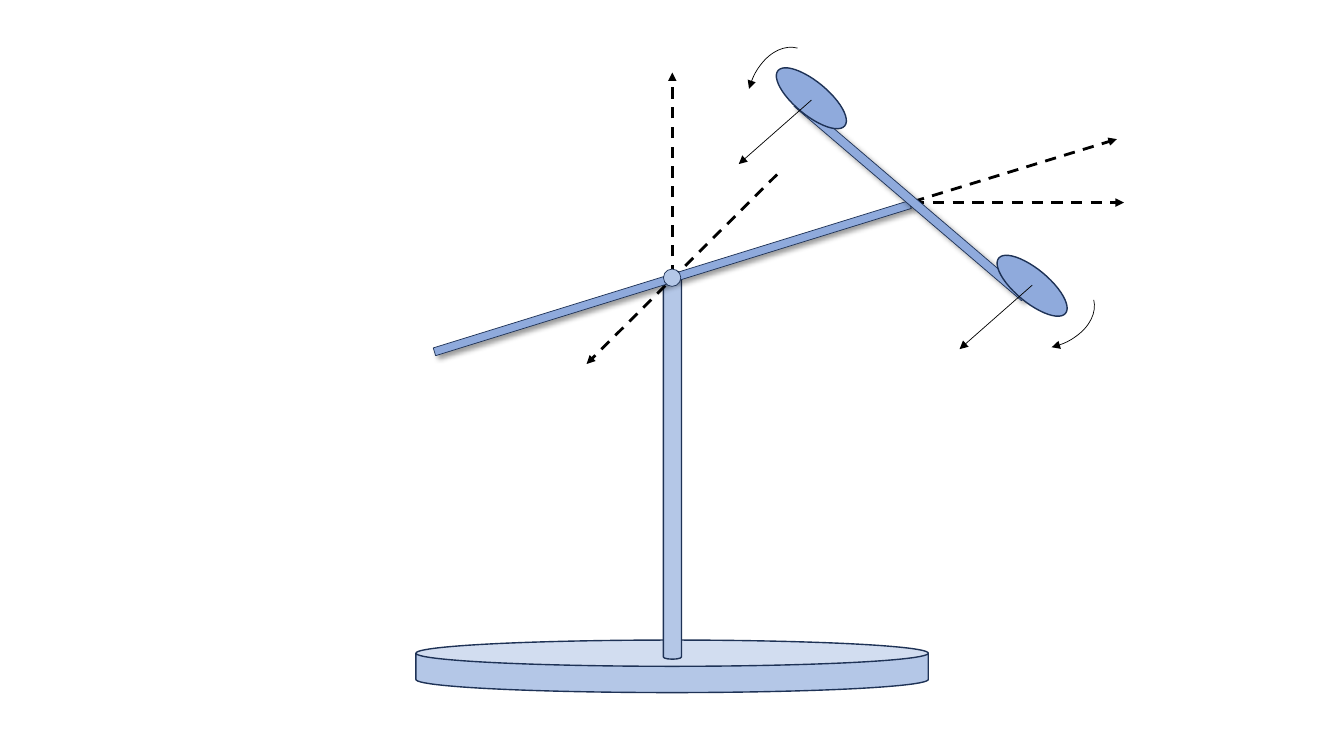
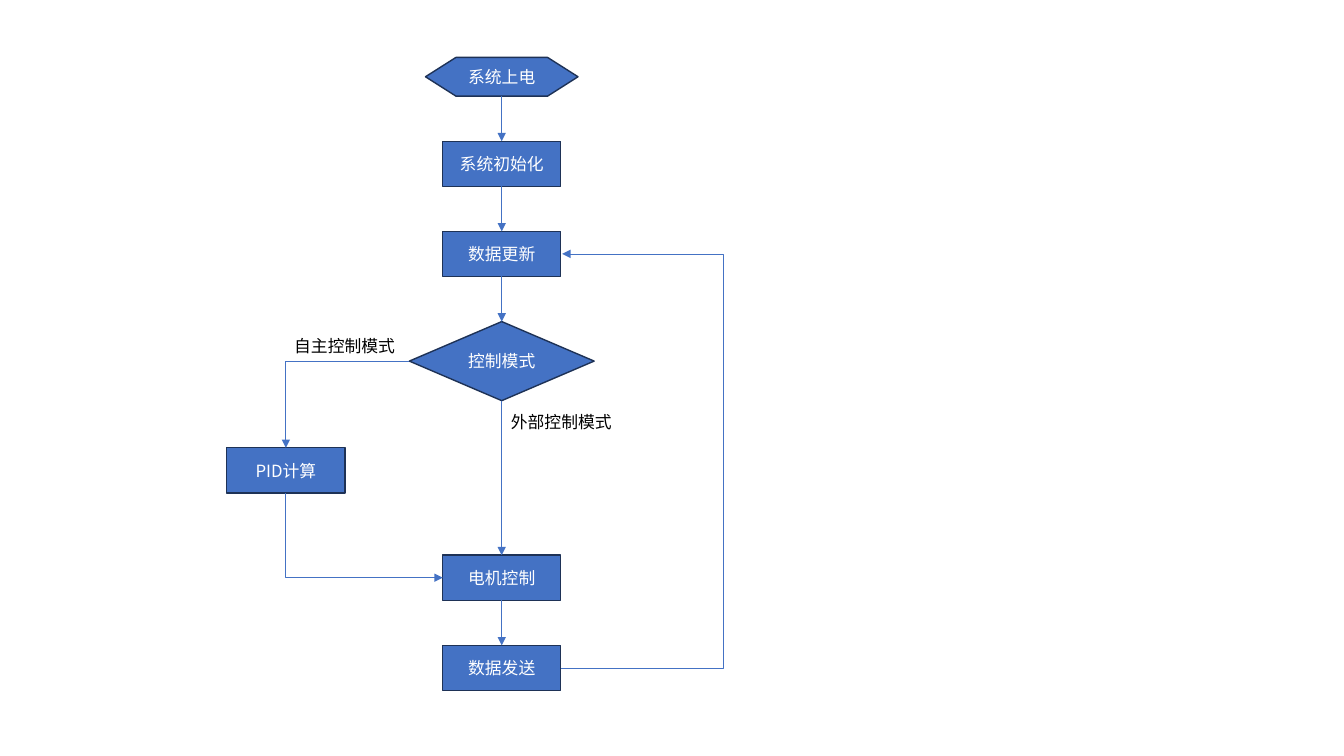
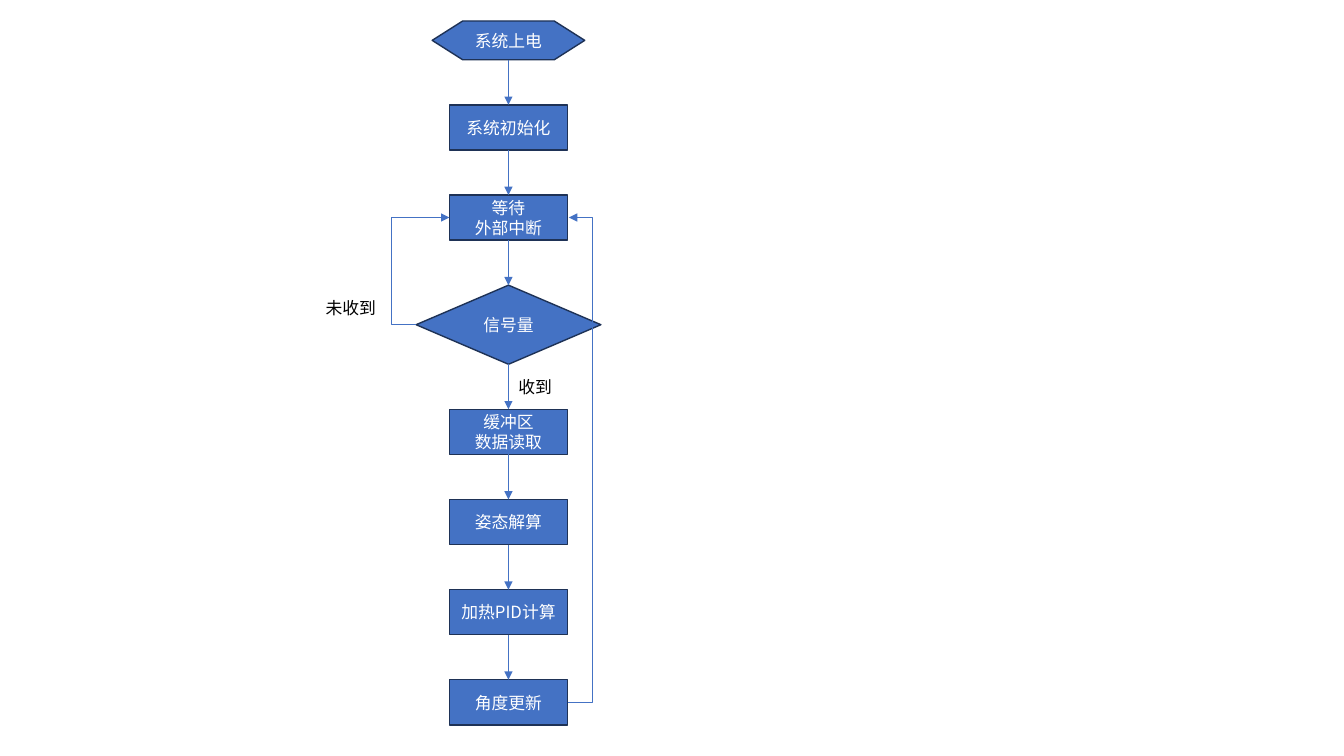
from lxml.etree import SubElement
from pptx import Presentation
from pptx.dml.color import RGBColor
from pptx.enum.dml import MSO_LINE
from pptx.enum.shapes import MSO_CONNECTOR, MSO_SHAPE
from pptx.enum.text import MSO_ANCHOR, PP_ALIGN
from pptx.oxml.ns import qn
from pptx.util import Pt

COLORS = {
    "black": "000000", "white": "FFFFFF", "box": "4472C4", "outline": "1E3256",
    "stand": "B4C7E7", "arm": "8FAADC",
}
FONT = "Noto Sans CJK SC"
TOP, LEFT, BOTTOM, RIGHT = range(4)  # connection sites


def add_block(slide, preset, box, text="", fill=None, line="outline", width=1,
              rotation=0, color="white", size=12):
    """Add a preset shape, or a text box when preset is None, with its text."""
    lengths = [Pt(value) for value in box]
    if preset is None:
        shape = slide.shapes.add_textbox(*lengths)
    else:
        shape = slide.shapes.add_shape(preset, *lengths)
        shape.shadow.inherit = False
        shape.rotation = rotation
        shape.line.color.rgb = RGBColor.from_string(COLORS[line])
        shape.line.width = Pt(width)
        if fill:
            shape.fill.solid()
            shape.fill.fore_color.rgb = RGBColor.from_string(COLORS[fill])
        else:
            shape.fill.background()
        shape.text_frame.vertical_anchor = MSO_ANCHOR.MIDDLE
    if text:
        shape.text_frame.word_wrap = True
        shape.text_frame.text = text
        for paragraph in shape.text_frame.paragraphs:
            paragraph.alignment = PP_ALIGN.CENTER
            for run in paragraph.runs:
                run.font.size = Pt(size)
                run.font.name = FONT
                run.font.color.rgb = RGBColor.from_string(COLORS[color])
                SubElement(run.font._element, qn("a:ea"), typeface=FONT)
    return shape


def add_arrow(slide, start, end, kind=MSO_CONNECTOR.STRAIGHT, color="black",
              width=0.5, dashed=False, arrow_at="tailEnd"):
    """Add a connector with one arrowhead."""
    arrow = slide.shapes.add_connector(kind, *[Pt(value) for value in (*start, *end)])
    arrow.line.color.rgb = RGBColor.from_string(COLORS[color])
    arrow.line.width = Pt(width)
    if dashed:
        arrow.line.dash_style = MSO_LINE.DASH
    SubElement(arrow.line._get_or_add_ln(), qn(f"a:{arrow_at}"), type="triangle")
    SubElement(arrow._element.spPr, qn("a:effectLst"))
    return arrow


presentation = Presentation()
presentation.slide_width, presentation.slide_height = Pt(960), Pt(540)
blank = presentation.slide_layouts[6]

# Slide 1: balance arm with two rotors
slide = presentation.slides.add_slide(blank)
base = add_block(slide, MSO_SHAPE.CAN, (297.1, 457.2, 366, 37.5), fill="stand")
base.adjustments[0] = 0.5
add_block(slide, MSO_SHAPE.CAN, (473.8, 197.3, 13, 273.6), fill="stand")

# Dashed axes
for start, end in [
    ((652.3, 144.7), (802.8, 144.7)),
    ((555.1, 124.6), (419, 260)),
    ((480.2, 197.3), (480.2, 51.8)),
    ((652.3, 144), (797.8, 99.4)),
]:
    add_arrow(slide, start, end, width=2, dashed=True)

# Arm, hub and crossbar
boom = add_block(slide, MSO_SHAPE.RECTANGLE, (302.4, 195.8, 355.7, 5.8), fill="arm",
                 width=0.5, rotation=342.8)
add_block(slide, MSO_SHAPE.OVAL, (473.9, 192.2, 12.4, 12.4), fill="stand", width=0.5)
crossbar = add_block(slide, MSO_SHAPE.RECTANGLE, (543.6, 139.7, 213.8, 6.5), fill="arm",
                     width=0.5, rotation=40.5)
for shape in (boom, crossbar):
    effects = shape._element.spPr.find(qn("a:effectLst"))
    shadow = SubElement(effects, qn("a:outerShdw"), blurRad=str(Pt(4)), dist=str(Pt(3)),
                        dir="2700000", algn="tl", rotWithShape="0")
    shadow_color = SubElement(shadow, qn("a:srgbClr"), val=COLORS["black"])
    SubElement(shadow_color, qn("a:alpha"), val="40000")

# Rotors with thrust and spin arrows
for left, top in [(706.3, 192.2), (548.6, 58.3)]:
    add_block(slide, MSO_SHAPE.OVAL, (left, top, 61.9, 23.8), fill="arm", rotation=39.6)
for x, y in [(579.6, 71.5), (737.3, 203.7)]:
    add_arrow(slide, (x, y), (x - 51.9, y + 45.7))
for left, top, rotation, flipped in [(719.3, 185.8, 76.5, False), (534.2, 33.1, 15, True)]:
    arc = add_block(slide, MSO_SHAPE.ARC, (left, top, 51.8, 74.2), line="black",
                    width=0.5, rotation=rotation)
    SubElement(arc.line._get_or_add_ln(), qn("a:tailEnd"), type="triangle")
    if flipped:
        arc._element.spPr.find(qn("a:xfrm")).set("flipH", "1")

# Slides 2 and 3: flowcharts
START = (MSO_SHAPE.FLOWCHART_PREPARATION, 109, 27.7)
STEP = (MSO_SHAPE.RECTANGLE, 84.4, 32.2)
CHOICE = (MSO_SHAPE.FLOWCHART_DECISION, 132, 56.5)
GAP = 32.2

flows = [
    {
        "axis": 358.4, "top": 41,
        "column": [
            (START, "系统上电", GAP), (STEP, "系统初始化", GAP), (STEP, "数据更新", GAP),
            (CHOICE, "控制模式", 110.4), (STEP, "电机控制", GAP), (STEP, "数据发送", GAP),
        ],
        "aside": [("PID计算", 204.2, 319.9)],
        "labels": [("自主控制模式", 199.4, 236.2), ("外部控制模式", 354.2, 290.2)],
        "corners": [
            ("控制模式", LEFT, "PID计算", TOP, "tailEnd"),
            ("电机控制", LEFT, "PID计算", BOTTOM, "headEnd"),
        ],
        "loops": [("数据发送", "数据更新", RIGHT, 517.7)],
    },
    {
        "axis": 363.2, "top": 15,
        "column": [
            (START, "系统上电", GAP), (STEP, "系统初始化", GAP),
            (STEP, "等待\n外部中断", GAP), (CHOICE, "信号量", GAP),
            (STEP, "缓冲区\n数据读取", GAP), (STEP, "姿态解算", GAP),
            (STEP, "加热PID计算", GAP), (STEP, "角度更新", GAP),
        ],
        "aside": [],
        "labels": [("未收到", 203.8, 208.8), ("收到", 335.5, 265.7)],
        "corners": [],
        "loops": [
            ("信号量", "等待\n外部中断", LEFT, 279.4),
            ("角度更新", "等待\n外部中断", RIGHT, 423.4),
        ],
    },
]

for flow in flows:
    slide = presentation.slides.add_slide(blank)
    nodes = {}

    # Boxes from top to bottom, then those beside the column
    top = flow["top"]
    for (preset, width, height), text, gap in flow["column"]:
        box = (flow["axis"] - width / 2, top, width, height)
        nodes[text] = add_block(slide, preset, box, text, fill="box")
        top += height + gap
    column = list(nodes.values())
    preset, width, height = STEP
    for text, center, top in flow["aside"]:
        box = (center - width / 2, top, width, height)
        nodes[text] = add_block(slide, preset, box, text, fill="box")

    # Branch labels
    for text, left, top in flow["labels"]:
        add_block(slide, None, (left, top, 93.6, 21.8), text, color="black")

    # Straight arrows down the column
    for upper, lower in zip(column, column[1:]):
        arrow = add_arrow(slide, (0, 0), (0, 0), color="box")
        arrow.begin_connect(upper, BOTTOM)
        arrow.end_connect(lower, TOP)

    # Arrows with one corner
    for first, first_site, second, second_site, arrow_at in flow["corners"]:
        arrow = add_arrow(slide, (0, 0), (0, 0), MSO_CONNECTOR.ELBOW, "box",
                          arrow_at=arrow_at)
        arrow.begin_connect(nodes[first], first_site)
        arrow.end_connect(nodes[second], second_site)
        arrow._element.spPr.find(qn("a:prstGeom")).set("prst", "bentConnector2")

    # Arrows back up along a vertical lane
    for first, second, site, lane in flow["loops"]:
        arrow = add_arrow(slide, (0, 0), (0, 0), MSO_CONNECTOR.ELBOW, "box")
        arrow.begin_connect(nodes[first], site)
        arrow.end_connect(nodes[second], site)
        if arrow.begin_x == arrow.end_x:
            arrow.end_x += Pt(1)
        bend = (Pt(lane) - arrow.begin_x) / (arrow.end_x - arrow.begin_x)
        guides = arrow._element.spPr.find(qn("a:prstGeom")).find(qn("a:avLst"))
        SubElement(guides, qn("a:gd"), name="adj1", fmla=f"val {round(bend * 100000)}")

presentation.save("out.pptx")
